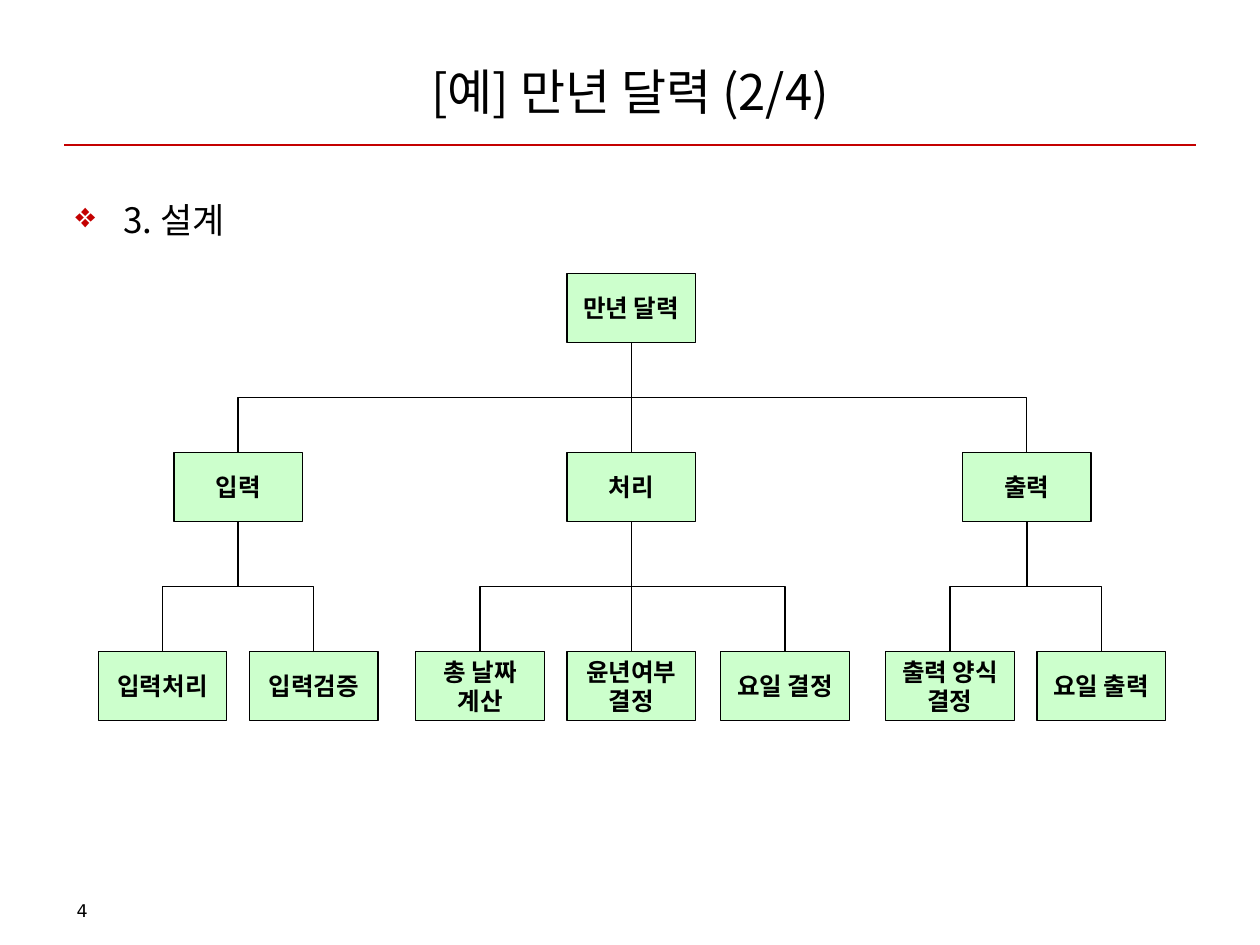
from lxml import etree
from pptx import Presentation
from pptx.dml.color import RGBColor
from pptx.enum.shapes import MSO_CONNECTOR as CONN, MSO_SHAPE as SHAPE
from pptx.enum.text import MSO_ANCHOR as ANCHOR, PP_ALIGN as ALIGN
from pptx.oxml.ns import qn
from pptx.util import Inches, Pt

KOREAN = "Noto Sans CJK KR"
BLACK, RED, GREEN = "000000", "C40000", "CCFFCC"
rgb = RGBColor.from_string


def set_font(p, size, name=KOREAN, bold=False):
    p.font.size, p.font.name, p.font.bold = Pt(size), name, bold
    p.font.color.rgb = rgb(BLACK)
    r_pr = p._p.pPr.find(qn("a:defRPr"))
    etree.SubElement(r_pr, qn("a:ea"), typeface=name)


def add_line(kind, x1, y1, x2, y2, color):
    line = s.shapes.add_connector(kind, x1, y1, x2, y2)
    line.line.color.rgb = rgb(color)
    line.line.width = Pt(0.75)
    etree.SubElement(line._element.spPr, qn("a:effectLst"))
    return line


prs = Presentation()
prs.slide_width, prs.slide_height = Inches(10), Inches(7.5)
s = prs.slides.add_slide(prs.slide_layouts[5])

# Title and rule
title = s.shapes.title
title.left, title.top = Inches(0.5), Inches(0.3)
title.width, title.height = Inches(9), Inches(0.85)
tf = title.text_frame
tf.text = "[예] 만년 달력 (2/4)"
tf.vertical_anchor = ANCHOR.MIDDLE
tf.paragraphs[0].alignment = ALIGN.CENTER
set_font(tf.paragraphs[0], 28)
add_line(CONN.STRAIGHT, Inches(0.51), Inches(1.15), Inches(9.49), Inches(1.15), RED)

# Bulleted heading
tf = s.shapes.add_textbox(Inches(0.5), Inches(1.39), Inches(9), Inches(0.7)).text_frame
tf.word_wrap = True
p = tf.paragraphs[0]
p.text = "3. 설계"
p.line_spacing, p.space_before = 1.4, Pt(4)
p_pr = p._p.get_or_add_pPr()
p_pr.set("marL", str(Inches(0.38)))
p_pr.set("indent", str(Inches(-0.38)))
bullet_color = etree.SubElement(p_pr, qn("a:buClr"))
etree.SubElement(bullet_color, qn("a:srgbClr"), val=RED)
etree.SubElement(p_pr, qn("a:buChar"), char="❖")
set_font(p, 20)

# Page number
tf = s.shapes.add_textbox(Inches(0.51), Inches(7.09), Inches(2.33), Inches(0.28)).text_frame
tf.word_wrap = True
tf.text = "4"
set_font(tf.paragraphs[0], 10, "DejaVu Sans")

# Tree boxes: label, left, top, index of the parent
ROOT_Y, BRANCH_Y, LEAF_Y = 2.17, 3.59, 5.17
nodes = [
    ("만년 달력", 4.5, ROOT_Y, None),
    ("입력", 1.38, BRANCH_Y, 0),
    ("처리", 4.5, BRANCH_Y, 0),
    ("출력", 7.64, BRANCH_Y, 0),
    ("입력처리", 0.78, LEAF_Y, 1),
    ("입력검증", 1.98, LEAF_Y, 1),
    ("총 날짜\n계산", 3.3, LEAF_Y, 2),
    ("윤년여부\n결정", 4.5, LEAF_Y, 2),
    ("요일 결정", 5.72, LEAF_Y, 2),
    ("출력 양식\n결정", 7.03, LEAF_Y, 3),
    ("요일 출력", 8.23, LEAF_Y, 3),
]
boxes = []
for label, x, y, parent in nodes:
    sp = s.shapes.add_shape(SHAPE.RECTANGLE, Inches(x), Inches(y), Inches(1.02), Inches(0.55))
    sp.shadow.inherit = False
    sp.fill.solid()
    sp.fill.fore_color.rgb = rgb(GREEN)
    sp.line.color.rgb = rgb(BLACK)
    sp.line.width = Pt(0.75)
    tf = sp.text_frame
    tf.text = label
    tf.word_wrap = False
    tf.vertical_anchor = ANCHOR.MIDDLE
    tf.margin_left = tf.margin_right = Inches(0.12)
    tf.margin_top = tf.margin_bottom = Inches(0.06)
    for p in tf.paragraphs:
        p.alignment = ALIGN.CENTER
        set_font(p, 14, bold=True)
    boxes.append(sp)

# Connectors from the bottom of each parent to the top of its child
for child, (label, x, y, parent) in zip(boxes, nodes):
    if parent is None:
        continue
    above = boxes[parent]
    x1, y1 = above.left + above.width // 2, above.top + above.height
    x2, y2 = child.left + child.width // 2, child.top
    kind = CONN.STRAIGHT if x1 == x2 else CONN.ELBOW
    line = add_line(kind, x1, y1, x2, y2, BLACK)
    line.begin_connect(above, 2)
    line.end_connect(child, 0)
    if kind == CONN.ELBOW:
        # A quarter turn makes the elbow leave its parent downwards
        across, down = abs(x2 - x1), y2 - y1
        line.left, line.top = (x1 + x2 - down) // 2, (y1 + y2 - across) // 2
        line.width, line.height = down, across
        xfrm = line._element.spPr.find(qn("a:xfrm"))
        xfrm.set("rot", str((90 if x2 < x1 else 270) * 60000))
        xfrm.set("flipH", "0" if x2 < x1 else "1")

prs.save("out.pptx")
